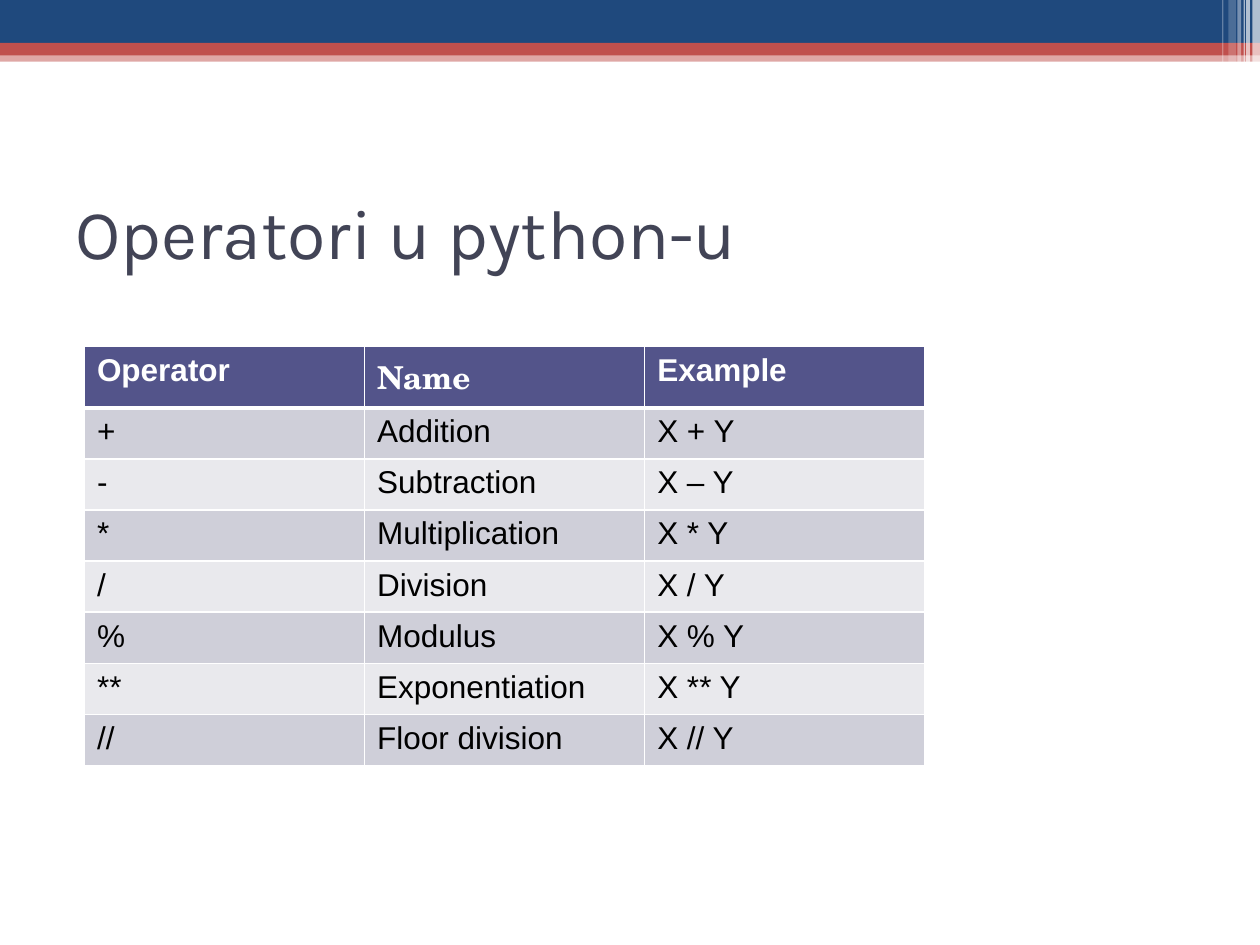
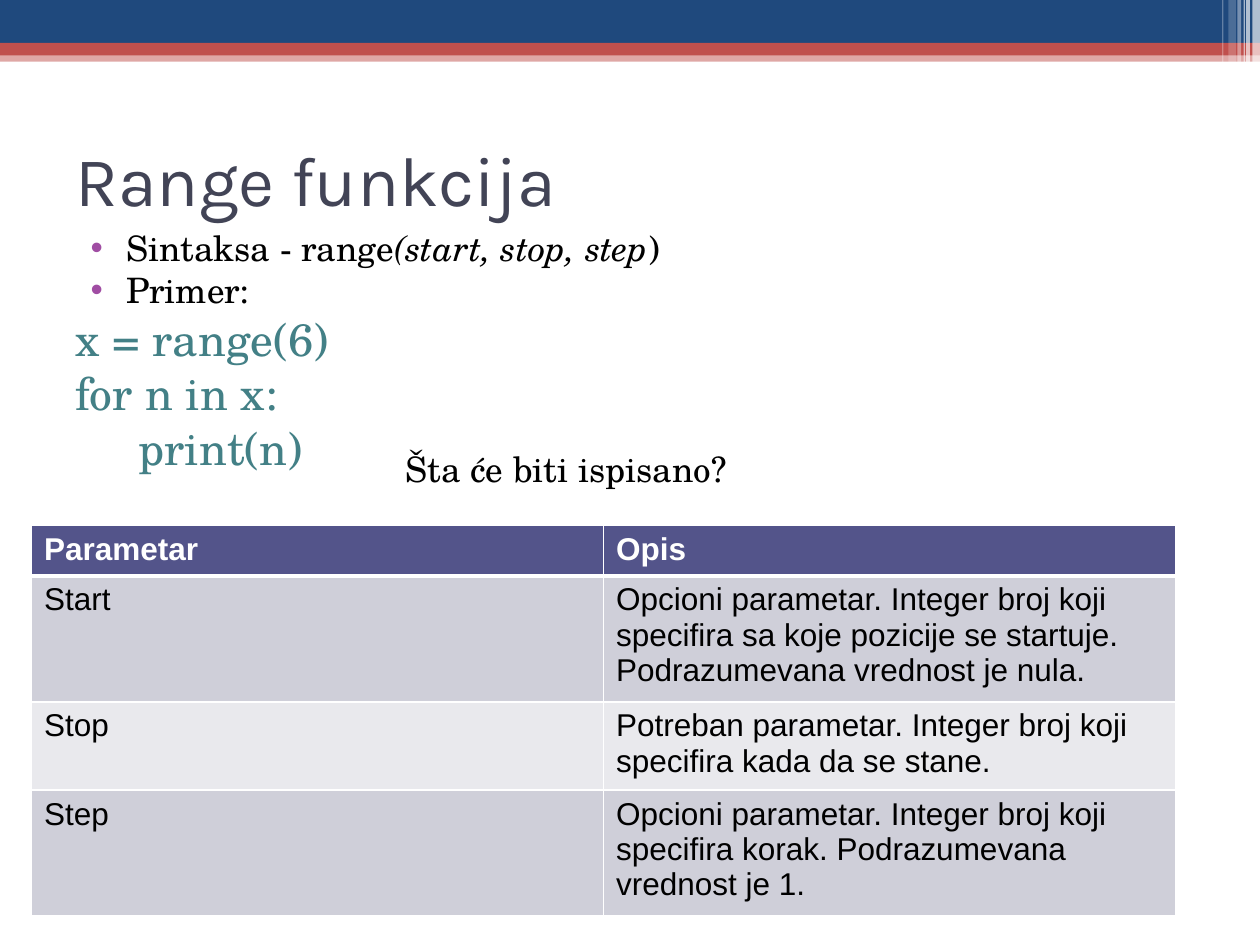
from lxml import etree
from pptx import Presentation
from pptx.dml.color import RGBColor
from pptx.enum.shapes import MSO_SHAPE
from pptx.enum.text import MSO_ANCHOR, MSO_AUTO_SIZE, PP_ALIGN
from pptx.oxml.ns import qn
from pptx.util import Inches, Pt

RECTANGLE = MSO_SHAPE.RECTANGLE
MIDDLE, TOP = MSO_ANCHOR.MIDDLE, MSO_ANCHOR.TOP
LEFT = PP_ALIGN.LEFT
NO_AUTOFIT = MSO_AUTO_SIZE.NONE

NAVY, RED, WHITE, BLACK = "1F497D", "C0504D", "FFFFFF", "000000"
TITLE_COLOR, CODE_COLOR, BULLET_COLOR = "424456", "438086", "A04DA3"
HEADER_FILL, ODD_FILL, EVEN_FILL = "53548A", "CFCFD9", "E9E9ED"
TITLE_FONT, BODY_FONT, TABLE_FONT = "Karla", "TeX Gyre Schola", "Arial"

# left, top, width, height, colour, opacity in percent
BANDS = [
    (0, 0.4, 10, 0.09, RED, 50),
    (0, 0, 10, 0.34, NAVY, 100),
    (0, 0.34, 10, 0.1, RED, 100),
    (9.94, 0, 0.06, 0.68, WHITE, 65),
    (9.89, 0, 0.03, 0.68, WHITE, 65),
    (9.87, 0, 0.01, 0.68, WHITE, 60),
    (9.82, 0, 0.03, 0.68, WHITE, 40),
    (9.75, 0, 0.06, 0.64, WHITE, 20),
    (9.7, 0, 0.01, 0.64, WHITE, 30),
]

OPERATORS = [
    ("Operator", "Name", "Example"),
    ("+", "Addition", "X + Y"),
    ("-", "Subtraction", "X – Y"),
    ("*", "Multiplication", "X * Y"),
    ("/", "Division", "X / Y"),
    ("%", "Modulus", "X % Y"),
    ("**", "Exponentiation", "X ** Y"),
    ("//", "Floor division", "X // Y"),
]

PARAMETERS = [
    ("Parametar", "Opis"),
    ("Start", "Opcioni parametar. Integer broj koji specifira sa koje pozicije "
              "se startuje. Podrazumevana vrednost je nula."),
    ("Stop", "Potreban parametar. Integer broj koji specifira kada da se stane."),
    ("Step", "Opcioni parametar. Integer broj koji specifira korak. "
             "Podrazumevana vrednost je 1."),
]


def rgb(color):
    return RGBColor.from_string(color)


def fill_solid(target, color):
    target.fill.solid()
    target.fill.fore_color.rgb = rgb(color)


def add_run(paragraph, text, size, font, color, bold=False, italic=False):
    run = paragraph.add_run()
    run.text = text
    run.font.size = Pt(size)
    run.font.name = font
    run.font.bold = bold
    run.font.italic = italic
    run.font.color.rgb = rgb(color)


def place(shape, left, top, width, height):
    shape.left, shape.top = Inches(left), Inches(top)
    shape.width, shape.height = Inches(width), Inches(height)


def add_bands(slide):
    for left, top, width, height, color, opacity in BANDS:
        band = slide.shapes.add_shape(
            RECTANGLE, Inches(left), Inches(top), Inches(width), Inches(height))
        band.shadow.inherit = False
        band.line.fill.background()
        fill_solid(band, color)
        if opacity < 100:
            color_element = band.fill._xPr.find(".//" + qn("a:srgbClr"))
            etree.SubElement(color_element, qn("a:alpha"), val=str(opacity * 1000))


def add_titled_slide(presentation, layout_index, title_text, title_top):
    slide = presentation.slides.add_slide(presentation.slide_layouts[layout_index])
    add_bands(slide)
    title = slide.shapes.title
    place(title, 0.5, title_top, 9, 1.17)
    frame = title.text_frame
    frame.auto_size = NO_AUTOFIT
    frame.vertical_anchor = MIDDLE
    paragraph = frame.paragraphs[0]
    paragraph.alignment = LEFT
    add_run(paragraph, title_text, 40, TITLE_FONT, TITLE_COLOR)
    return slide


def set_borders(cell, bottom_width):
    properties = cell._tc.get_or_add_tcPr()
    widths = {"a:lnL": 0.96, "a:lnR": 0.96, "a:lnT": 0.96, "a:lnB": bottom_width}
    for index, (tag, width) in enumerate(widths.items()):
        line = etree.Element(qn(tag), w=str(Pt(width)))
        solid = etree.SubElement(line, qn("a:solidFill"))
        etree.SubElement(solid, qn("a:srgbClr"), val=WHITE)
        properties.insert(index, line)


def add_banded_table(slide, rows, left, top, width, row_heights):
    """Add a table with equal columns, a dark header and alternating rows."""
    column_count = len(rows[0])
    table = slide.shapes.add_table(
        len(rows), column_count, Inches(left), Inches(top),
        Inches(width), Inches(sum(row_heights))).table
    for column in table.columns:
        column.width = Inches(width / column_count)
    for row_index, texts in enumerate(rows):
        table.rows[row_index].height = Inches(row_heights[row_index])
        is_header = row_index == 0
        band_fill = ODD_FILL if row_index % 2 else EVEN_FILL
        for column_index, text in enumerate(texts):
            cell = table.cell(row_index, column_index)
            fill_solid(cell, HEADER_FILL if is_header else band_fill)
            set_borders(cell, 3 if is_header else 0.96)
            paragraph = cell.text_frame.paragraphs[0]
            is_name = text == "Name"
            if is_name:
                paragraph.space_before = Pt(3)
            add_run(paragraph, text, 18, BODY_FONT if is_name else TABLE_FONT,
                    WHITE if is_header else BLACK, bold=is_header)


def format_list_paragraph(paragraph, bulleted):
    paragraph.space_before = Pt(0)
    paragraph.alignment = LEFT
    properties = paragraph._p.get_or_add_pPr()
    properties.set("marL", str(Inches(0.4) if bulleted else 0))
    properties.set("indent", str(Inches(-0.28) if bulleted else 0))
    if bulleted:
        bullet_color = etree.SubElement(properties, qn("a:buClr"))
        etree.SubElement(bullet_color, qn("a:srgbClr"), val=BULLET_COLOR)
        etree.SubElement(properties, qn("a:buFont"), typeface="Arial")
        etree.SubElement(properties, qn("a:buChar"), char="•")
    else:
        etree.SubElement(properties, qn("a:buNone"))


def fill_range_body(body, left, top, width, height):
    place(body, left, top, width, height)
    frame = body.text_frame
    frame.auto_size = NO_AUTOFIT
    frame.vertical_anchor = TOP
    syntax = frame.paragraphs[0]
    example, assignment, loop = (frame.add_paragraph() for _ in range(3))
    for paragraph in (syntax, example):
        format_list_paragraph(paragraph, bulleted=True)
    for paragraph in (assignment, loop):
        format_list_paragraph(paragraph, bulleted=False)

    text_style = (20, BODY_FONT, BLACK)
    code_style = (26, BODY_FONT, CODE_COLOR)
    add_run(syntax, "Sintaksa - range", *text_style)
    add_run(syntax, "(start, stop, step", *text_style, italic=True)
    add_run(syntax, ")", *text_style)
    add_run(example, "Primer:", *text_style)
    add_run(assignment, "x = range(6)", *code_style)
    add_run(loop, "for n in x:", *code_style)
    loop.add_line_break()
    add_run(loop, "\tprint(n)", *code_style)


def add_question(slide, left, top, width, height):
    box = slide.shapes.add_textbox(
        Inches(left), Inches(top), Inches(width), Inches(height))
    box.text_frame.word_wrap = True
    add_run(box.text_frame.paragraphs[0], "Šta će biti ispisano?",
            20, BODY_FONT, BLACK)


def build_operators_slide(presentation):
    slide = add_titled_slide(presentation, 5, "Operatori u python-u", 1.25)
    header_height, table_height = 0.48, 3.32
    row_count = len(OPERATORS) - 1
    row_height = (table_height - header_height) / row_count
    add_banded_table(slide, OPERATORS, 0.67, 2.75, 6.67,
                     [header_height] + [row_height] * row_count)


def build_range_slide(presentation):
    slide = add_titled_slide(presentation, 1, "Range funkcija", 0.83)
    fill_range_body(slide.placeholders[1], 0.5, 1.75, 9, 2.54)
    add_question(slide, 3.12, 3.5, 4.08, 0.43)
    add_banded_table(slide, PARAMETERS, 0.25, 4.17, 9.08, [0.4, 1, 0.7, 1])


def main():
    presentation = Presentation()
    presentation.slide_width = Inches(10)
    presentation.slide_height = Inches(7.5)
    build_operators_slide(presentation)
    build_range_slide(presentation)
    presentation.save("out.pptx")


if __name__ == "__main__":
    main()
